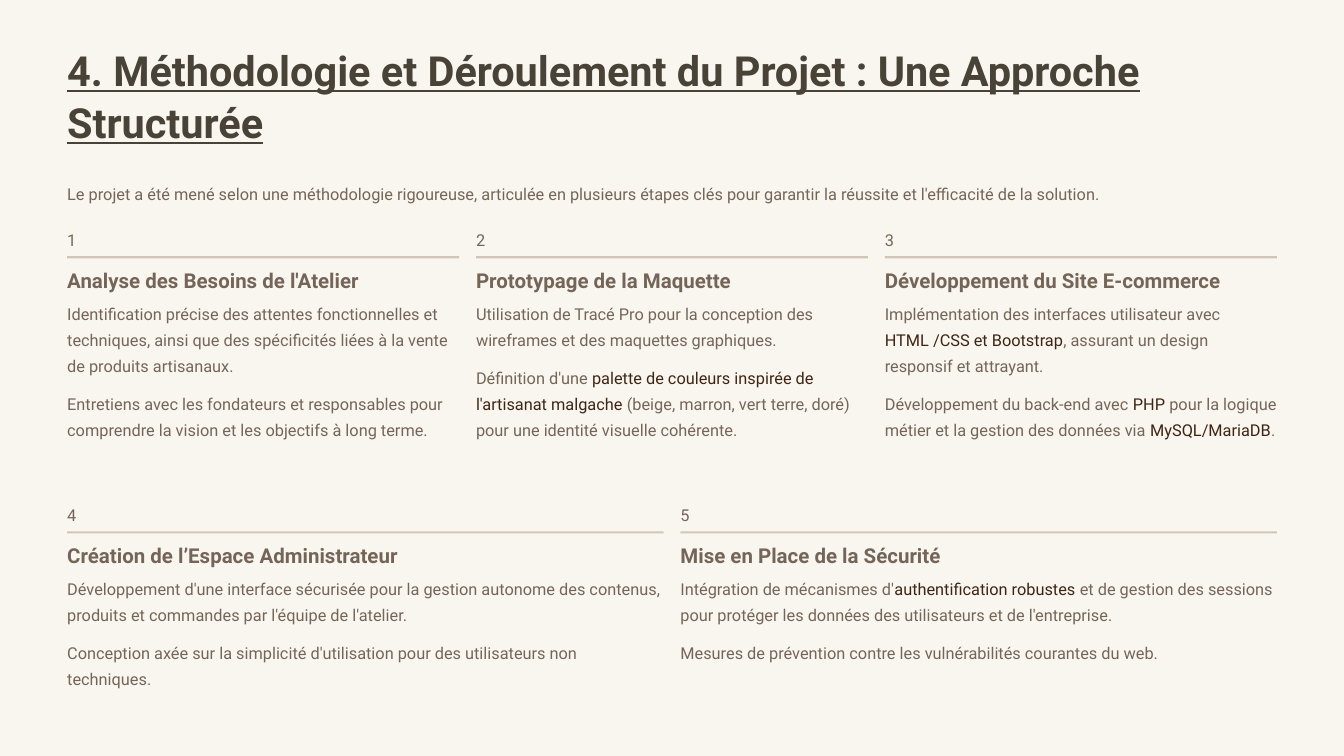
from pptx import Presentation
from pptx.dml.color import RGBColor
from pptx.enum.shapes import MSO_SHAPE
from pptx.util import Emu, Pt

PX = 9525
LEFT, WIDE, GAP = 96, 1728, 24
PAPER, INK, TEXT, DARK, RULE = "F9F6F0", "484237", "746558", "3E2513", "D3C5B6"
BODY, LEAD = 17.5, 28.1
LINE, SPACE = 38, 15

# Each step: heading, then (line count, text); stars enclose dark words.
ROWS = [
    (319, [
        ("Analyse des Besoins de l'Atelier", [
            (3, "Identification précise des attentes fonctionnelles et techniques, "
                "ainsi que des spécificités liées à la vente de produits artisanaux."),
            (2, "Entretiens avec les fondateurs et responsables pour comprendre "
                "la vision et les objectifs à long terme."),
        ]),
        ("Prototypage de la Maquette", [
            (2, "Utilisation de Tracé Pro pour la conception des wireframes "
                "et des maquettes graphiques."),
            (3, "Définition d'une *palette de couleurs inspirée de l'artisanat malgache* "
                "(beige, marron, vert terre, doré) pour une identité visuelle cohérente."),
        ]),
        ("Développement du Site E-commerce", [
            (3, "Implémentation des interfaces utilisateur avec *HTML /CSS et Bootstrap*, "
                "assurant un design responsif et attrayant."),
            (2, "Développement du back-end avec *PHP* pour la logique métier "
                "et la gestion des données via *MySQL/MariaDB*."),
        ]),
    ]),
    (712, [
        ("Création de l’Espace Administrateur", [
            (2, "Développement d'une interface sécurisée pour la gestion autonome "
                "des contenus, produits et commandes par l'équipe de l'atelier."),
            (2, "Conception axée sur la simplicité d'utilisation "
                "pour des utilisateurs non techniques."),
        ]),
        ("Mise en Place de la Sécurité", [
            (2, "Intégration de mécanismes d'*authentification robustes* et de gestion "
                "des sessions pour protéger les données des utilisateurs et de l'entreprise."),
            (1, "Mesures de prévention contre les vulnérabilités courantes du web."),
        ]),
    ]),
]


def px(n):
    return Emu(round(n * PX))


def color(code):
    return RGBColor.from_string(code)


def add_text(slide, box, text, size=BODY, lead=LEAD, tint=TEXT, bold=False, under=False):
    """Add a text box; words between stars are dark."""
    frame = slide.shapes.add_textbox(*map(px, box)).text_frame
    frame.word_wrap = True
    frame.margin_left = frame.margin_right = frame.margin_top = frame.margin_bottom = 0
    para = frame.paragraphs[0]
    para.line_spacing = Pt(lead)
    for i, part in enumerate(text.split("*")):
        run = para.add_run()
        run.text = part
        font = run.font
        font.name, font.size = "Roboto", Pt(size)
        font.bold, font.underline = bold, under
        font.color.rgb = color(DARK if i % 2 else tint)


def add_rule(slide, x, y, wide):
    bar = slide.shapes.add_shape(MSO_SHAPE.RECTANGLE, px(x), px(y), px(wide), px(3))
    bar.shadow.inherit = False
    bar.fill.solid()
    bar.fill.fore_color.rgb = color(RULE)
    bar.line.fill.background()


def add_step(slide, x, y, wide, num, head, paras):
    add_text(slide, (x, y, 24, 37), str(num))
    add_rule(slide, x, y + 47, wide)
    add_text(slide, (x, y + 62, wide, 40), head, 21.9, 27.5, bold=True)
    top = y + 106
    for lines, text in paras:
        high = lines * LINE
        add_text(slide, (x, top, wide + 1, high + 10), text)
        top += high + SPACE


def main():
    deck = Presentation()
    deck.slide_width, deck.slide_height = px(1920), px(1080)
    slide = deck.slides.add_slide(deck.slide_layouts[6])
    back = slide.background.fill
    back.solid()
    back.fore_color.rgb = color(PAPER)

    add_text(slide, (LEFT, 62, WIDE, 149),
             "4. Méthodologie et Déroulement du Projet : Une Approche Structurée",
             44.4, 55.6, INK, bold=True, under=True)
    add_text(slide, (LEFT, 253, WIDE, 48),
             "Le projet a été mené selon une méthodologie rigoureuse, articulée en plusieurs "
             "étapes clés pour garantir la réussite et l'efficacité de la solution.")
    num = 1
    for top, steps in ROWS:
        wide = (WIDE + GAP) // len(steps) - GAP
        for i, (head, paras) in enumerate(steps):
            add_step(slide, LEFT + i * (wide + GAP), top, wide, num, head, paras)
            num += 1
    deck.save("out.pptx")


if __name__ == "__main__":
    main()
